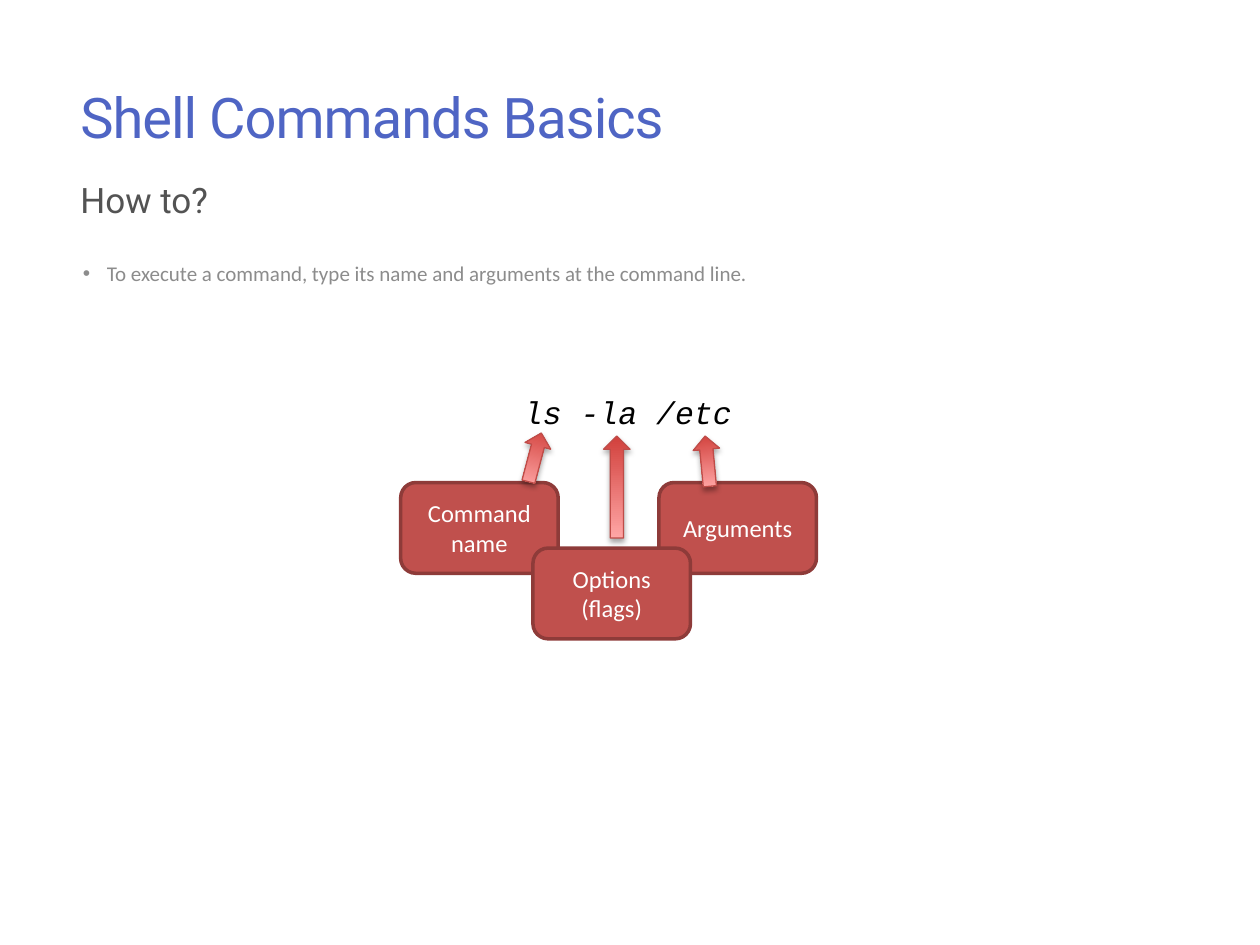
from lxml.etree import SubElement
from pptx import Presentation
from pptx.dml.color import RGBColor
from pptx.enum.shapes import MSO_SHAPE
from pptx.enum.text import MSO_ANCHOR, PP_ALIGN
from pptx.oxml import parse_xml
from pptx.oxml.ns import nsdecls, qn
from pptx.util import Inches, Pt

BLUE = RGBColor(0x4F, 0x65, 0xC4)
DARK_GRAY = RGBColor(0x53, 0x53, 0x53)
GRAY = RGBColor(0x8C, 0x8C, 0x8C)
BLACK = RGBColor(0, 0, 0)
WHITE = RGBColor(0xFF, 0xFF, 0xFF)
BOX_RED = RGBColor(0xC0, 0x50, 0x4D)
BOX_EDGE = RGBColor(0x8E, 0x3B, 0x39)
ARROW_TIP = RGBColor(0xD1, 0x40, 0x3C)
ARROW_TAIL = RGBColor(0xFF, 0xA6, 0xA5)
ARROW_EDGE = RGBColor(0xBF, 0x4C, 0x48)

# Content: text, position (left, top, width, height), format
TEXTS = [
    ("Shell Commands Basics", (0.54, 0.51, 7, 0.83),
     dict(size=32, font="Roboto", color=BLUE, anchor=MSO_ANCHOR.MIDDLE, tracking=-0.6)),
    ("How to?", (0.54, 1.37, 7, 0.5),
     dict(size=20, font="Roboto", color=DARK_GRAY, space_before=4)),
    ("To execute a command, type its name and arguments at the command line.",
     (0.56, 2.02, 7, 0.4), dict(size=12, color=GRAY, space_before=2.4, bullet="•")),
    ("ls -la /etc", (4.06, 3.07, 1.9, 0.4),
     dict(size=18, font="Courier New", color=BLACK, italic=True)),
]
# Labels from back to front: text, left, top
LABELS = [("Arguments", 5.23, 3.83), ("Command name", 3.18, 3.83), ("Options (flags)", 4.23, 4.35)]
LABEL_SIZE = (1.25, 0.72)
# Arrows: left, top, height, rotation
ARROWS = [(4.14, 3.43, 0.4, 194.8), (5.51, 3.46, 0.4, 174.6), (4.79, 3.46, 0.81, 180)]
ARROW_WIDTH = 0.21

ARROW_SHADOW = f"""<a:effectLst {nsdecls('a')}>
  <a:outerShdw blurRad="{Pt(3.1)}" dist="{Pt(1.8)}" dir="5400000" rotWithShape="0">
    <a:srgbClr val="000000"><a:alpha val="35000"/></a:srgbClr>
  </a:outerShdw>
</a:effectLst>"""


def write(shape, text, *, size, color, font="Calibri", italic=False, align=PP_ALIGN.LEFT,
          anchor=MSO_ANCHOR.TOP, space_before=0, tracking=None, bullet=None):
    frame = shape.text_frame
    frame.word_wrap = True
    frame.vertical_anchor = anchor
    paragraph = frame.paragraphs[0]
    paragraph.alignment = align
    paragraph.space_before = Pt(space_before)
    run = paragraph.add_run()
    run.text = text
    run.font.size = Pt(size)
    run.font.name = font
    run.font.italic = italic
    run.font.color.rgb = color
    if tracking:
        run.font._element.set("spc", str(round(tracking * 100)))
    if bullet:
        properties = paragraph._p.get_or_add_pPr()
        properties.set("marL", str(Inches(0.19)))
        properties.set("indent", str(-Inches(0.19)))
        SubElement(properties, qn("a:buFont")).set("typeface", "Arial")
        SubElement(properties, qn("a:buChar")).set("char", bullet)


def add_label(slide, text, left, top):
    label = slide.shapes.add_shape(
        MSO_SHAPE.ROUNDED_RECTANGLE, *map(Inches, (left, top, *LABEL_SIZE)))
    label.shadow.inherit = False
    label.fill.solid()
    label.fill.fore_color.rgb = BOX_RED
    label.line.color.rgb = BOX_EDGE
    label.line.width = Pt(2)
    write(label, text, size=14, color=WHITE, align=PP_ALIGN.CENTER, anchor=MSO_ANCHOR.MIDDLE)


def add_arrow(slide, left, top, height, rotation):
    arrow = slide.shapes.add_shape(
        MSO_SHAPE.DOWN_ARROW, *map(Inches, (left, top, ARROW_WIDTH, height)))
    arrow.rotation = rotation
    arrow.fill.gradient()
    arrow.fill.gradient_angle = 90
    for stop, color, position in zip(arrow.fill.gradient_stops, (ARROW_TIP, ARROW_TAIL), (0, 1)):
        stop.color.rgb = color
        stop.position = position
    arrow.line.color.rgb = ARROW_EDGE
    arrow.line.width = Pt(0.75)
    arrow._element.spPr.append(parse_xml(ARROW_SHADOW))


def main():
    deck = Presentation()
    deck.slide_width, deck.slide_height = Inches(10), Inches(7.5)
    slide = deck.slides.add_slide(deck.slide_layouts[6])

    # Labels, with the first one behind the text
    add_label(slide, *LABELS[0])
    for text, place, style in TEXTS:
        write(slide.shapes.add_textbox(*map(Inches, place)), text, **style)
    for label in LABELS[1:]:
        add_label(slide, *label)

    # Arrows from the labels up to the parts of the command
    for arrow in ARROWS:
        add_arrow(slide, *arrow)

    deck.save("out.pptx")


if __name__ == "__main__":
    main()
